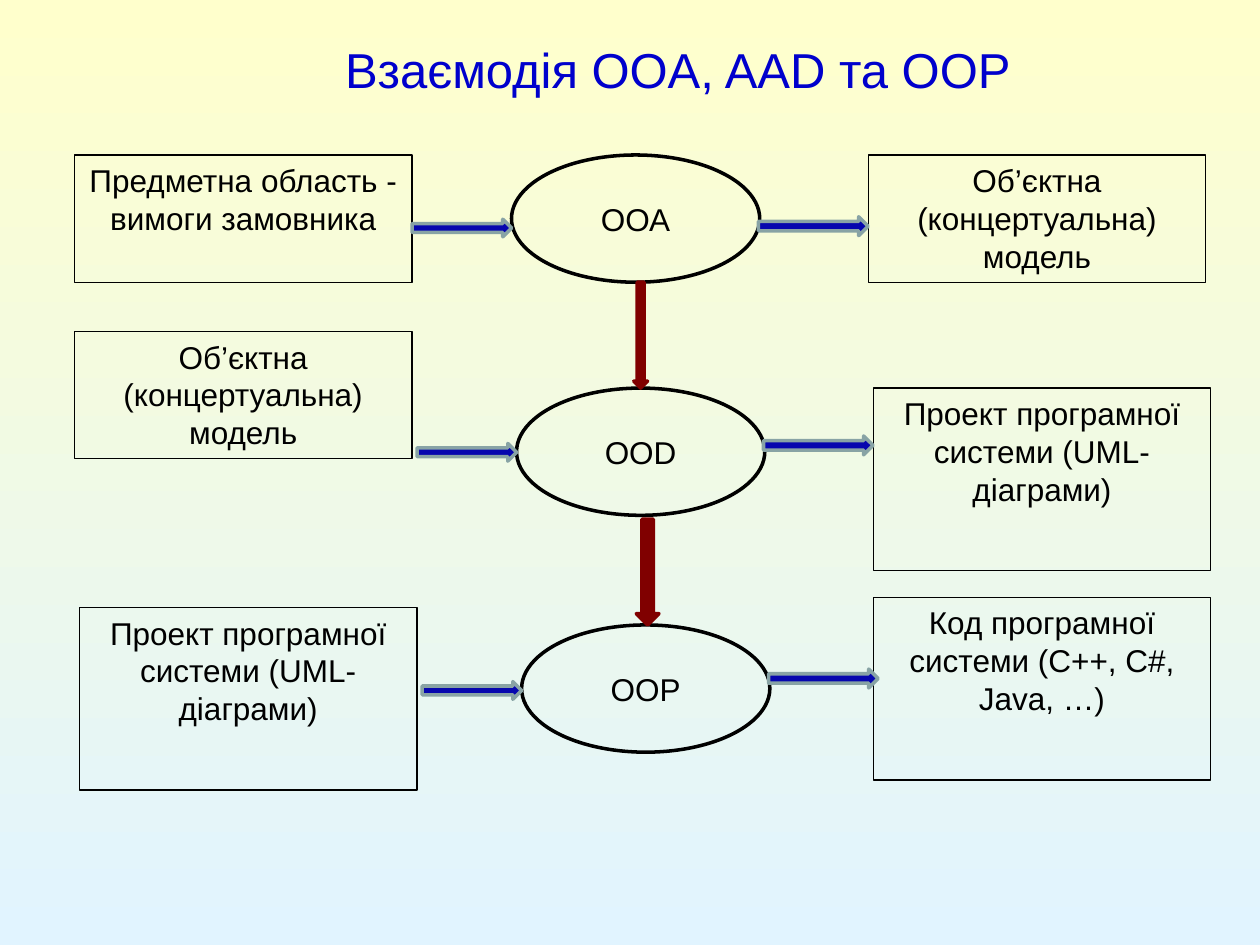
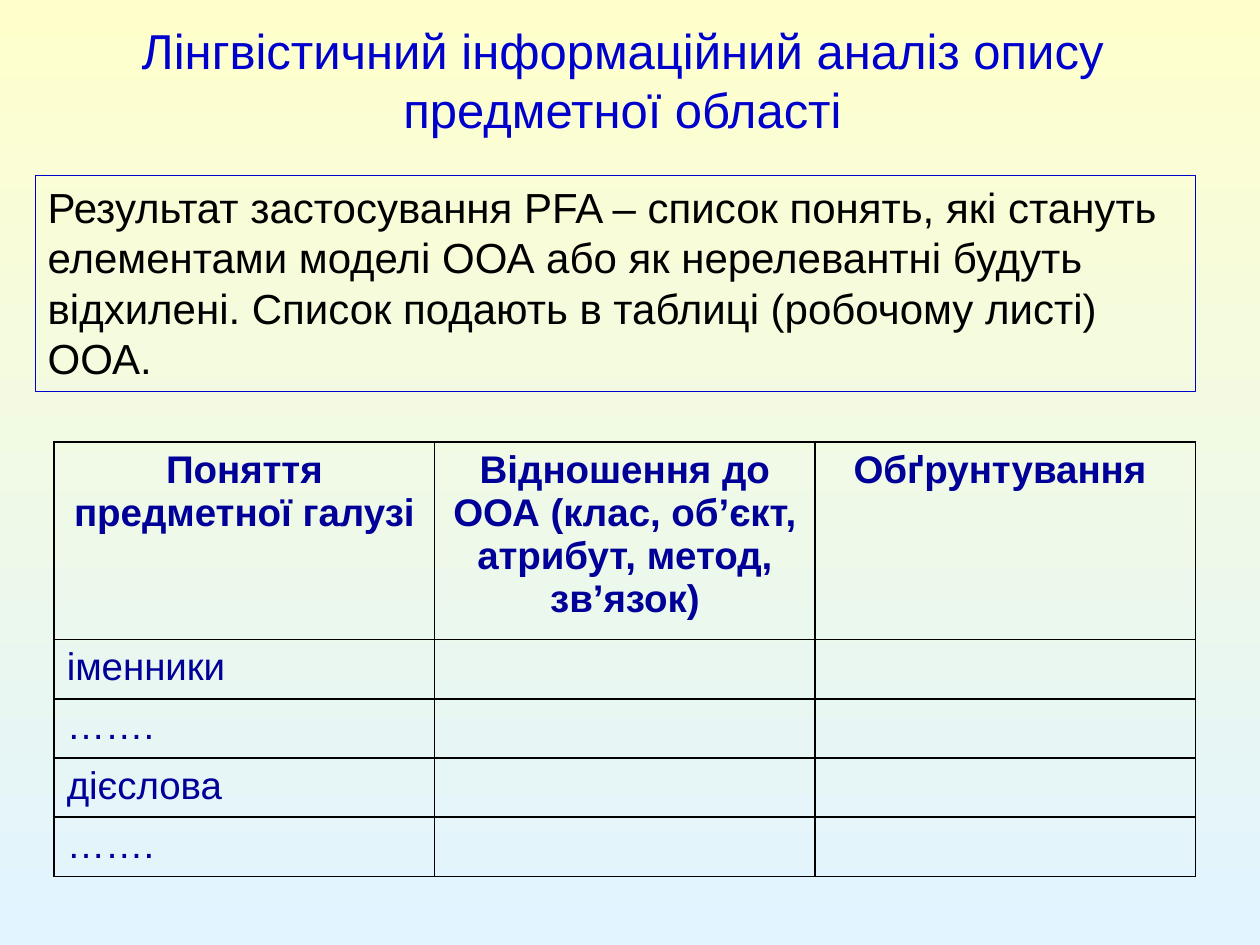
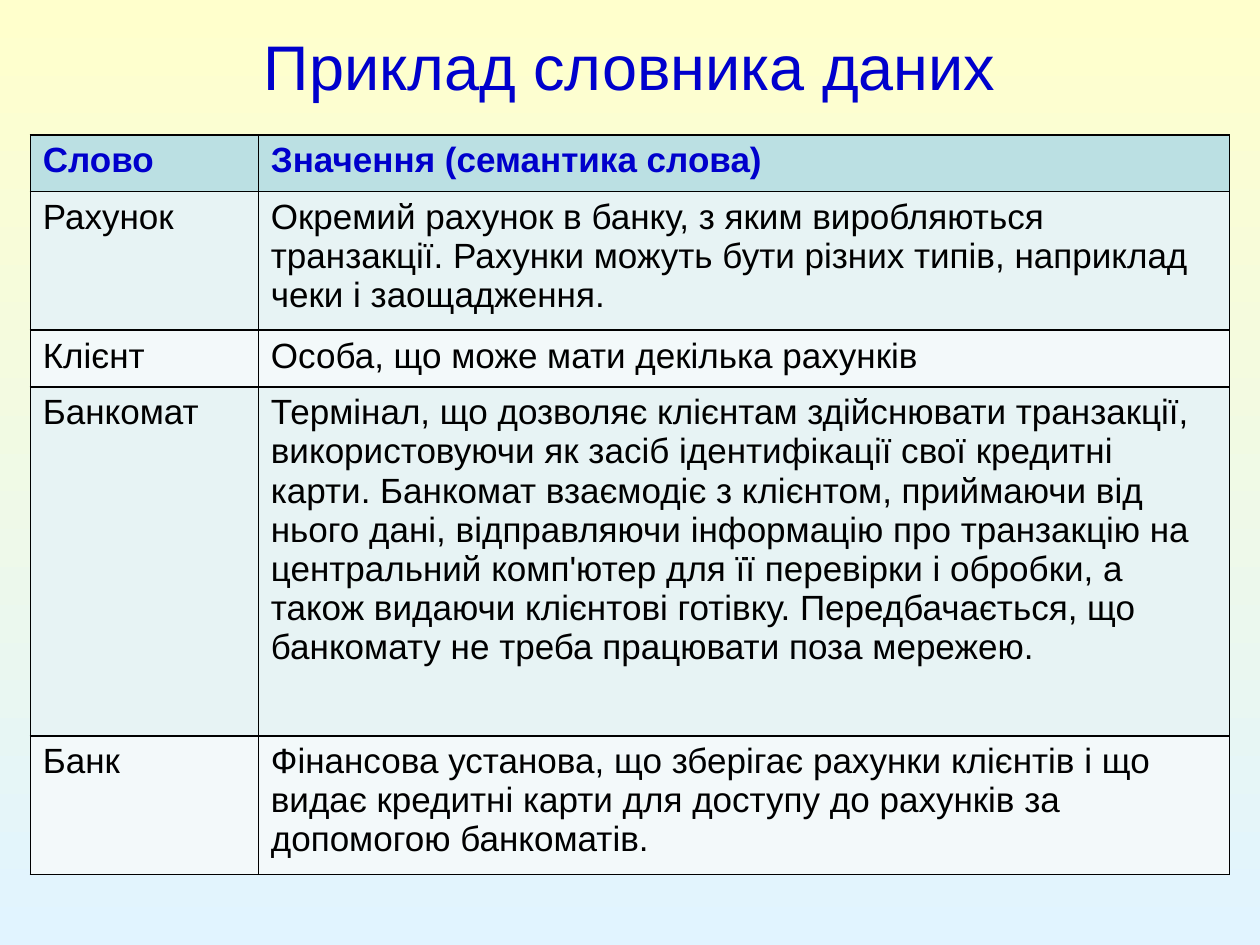
import pptx
import pptx.dml.color
import pptx.enum.shapes
import pptx.enum.text
import pptx.oxml
import pptx.oxml.ns
import pptx.util

Inches, Pt = pptx.util.Inches, pptx.util.Pt
SHAPE = pptx.enum.shapes.MSO_SHAPE
ALIGN = pptx.enum.text.PP_ALIGN
ANCHOR = pptx.enum.text.MSO_ANCHOR

# Shared look
FONT = "Arial"
BLUE, NAVY, BLACK = "0000CC", "000099", "000000"
ARROW_BLUE, ARROW_EDGE, MAROON = "0606AE", "88A3A5", "800000"
SKY_TOP, SKY_BOTTOM = "FFFFCC", "E1F4FF"
HEAD_FILL, BANDS = "BBE0E3", ("E7F3F4", "F3F9FA")

# Slide 1: each stage has an input box, an ellipse and an output box
STAGES = [
    {"name": "ООА", "top": 1.23,
     "input": ("Предметна область - вимоги замовника", 0.59, 1.23, 1.01),
     "output": ("Об’єктна (концертуальна) модель", 6.89, 1.23, 1.01),
     "arrow_tops": (1.74, 1.72)},
    {"name": "OOD", "top": 3.08,
     "input": ("Об’єктна (концертуальна) модель", 0.59, 2.63, 1.01),
     "output": ("Проект програмної системи (UML- діаграми)", 6.93, 3.08, 1.45),
     "arrow_tops": (3.52, 3.46)},
    {"name": "OOР", "top": 4.96,
     "input": ("Проект програмної системи (UML- діаграми)", 0.63, 4.82, 1.45),
     "output": ("Код програмної системи (С++, C#, Java, …)", 6.93, 4.74, 1.45),
     "arrow_tops": (5.31 + 0.1, 5.31)},
]
STAGE_SHIFT = 0.04
DOWN_ARROWS = [(5.03, 2.24, 0.11, 0.84), (5.05, 4.12, 0.18, 0.84)]

# Slide 2
PFA_RESULT = ("Результат застосування PFA – список понять, які стануть елементами "
              "моделі ООА або як нерелевантні будуть відхилені. Список подають "
              "в таблиці (робочому листі) ООА.")
WORKSHEET = [
    ("Поняття предметної галузі",
     "Відношення до ООА (клас, об’єкт, атрибут, метод, зв’язок)",
     "Обґрунтування "),
    ("іменники", "", ""),
    ("…….", "", ""),
    ("дієслова", "", ""),
    ("…….", "", ""),
]

# Slide 3
DICTIONARY = [
    ("Слово", "Значення (семантика слова)"),
    ("Рахунок", "Окремий рахунок в банку, з яким виробляються транзакції. Рахунки "
                "можуть бути різних типів, наприклад чеки і заощадження."),
    ("Клієнт", "Особа, що може мати декілька рахунків"),
    ("Банкомат", "Термінал, що дозволяє клієнтам здійснювати транзакції, використовуючи "
                 "як засіб ідентифікації свої кредитні карти. Банкомат взаємодіє з "
                 "клієнтом, приймаючи від нього дані, відправляючи інформацію про "
                 "транзакцію на центральний комп'ютер для її перевірки і обробки, а "
                 "також видаючи клієнтові готівку. Передбачається, що банкомату не "
                 "треба працювати поза мережею."),
    ("Банк", "Фінансова установа, що зберігає рахунки клієнтів і що видає кредитні "
             "карти для доступу до рахунків за допомогою банкоматів."),
]


def rgb(color):
    return pptx.dml.color.RGBColor.from_string(color)


def write(tf, text, size, color=BLACK, align=ALIGN.LEFT, bold=False):
    p = tf.paragraphs[0]
    p.alignment = align
    r = p.add_run()
    r.text = text
    r.font.name, r.font.size, r.font.bold = FONT, Pt(size), bold
    r.font.color.rgb = rgb(color)
    return p


def add_slide(prs):
    s = prs.slides.add_slide(prs.slide_layouts[6])
    fill = s.background.fill
    fill.gradient()
    fill.gradient_angle = 270
    for stop, color, position in zip(fill.gradient_stops, (SKY_TOP, SKY_BOTTOM), (0, 1)):
        stop.color.rgb = rgb(color)
        stop.position = position
    return s


def add_title(s, text, box, size=28, anchor=ANCHOR.MIDDLE):
    tf = s.shapes.add_textbox(*map(Inches, box)).text_frame
    tf.word_wrap = True
    tf.vertical_anchor = anchor
    return write(tf, text, size, BLUE, ALIGN.CENTER)


def add_shape(s, kind, box, line, width, fill=None):
    sp = s.shapes.add_shape(kind, *map(Inches, box))
    sp.shadow.inherit = False
    sp.line.color.rgb = rgb(line)
    sp.line.width = Pt(width)
    if fill:
        sp.fill.solid()
        sp.fill.fore_color.rgb = rgb(fill)
    else:
        sp.fill.background()
    return sp


def add_label(s, kind, box, text, line=BLACK, width=0.75, size=18,
              align=ALIGN.CENTER, anchor=ANCHOR.TOP):
    tf = add_shape(s, kind, box, line, width).text_frame
    tf.word_wrap = True
    tf.vertical_anchor = anchor
    write(tf, text, size, align=align)


def add_borders(cell):
    tc_pr = cell._tc.get_or_add_tcPr()
    for side in ("lnL", "lnR", "lnT", "lnB"):
        tc_pr.append(pptx.oxml.parse_xml(
            f'<a:{side} {pptx.oxml.ns.nsdecls("a")} w="12700"><a:solidFill>'
            f'<a:srgbClr val="{BLACK}"/></a:solidFill></a:{side}>'))


def add_table(s, rows, left, top, widths, heights, size, head_color, body_color,
              head_align=ALIGN.LEFT, banded=False):
    box = (left, top, sum(widths), sum(heights))
    table = s.shapes.add_table(len(rows), len(widths), *map(Inches, box)).table
    table.first_row = table.horz_banding = False
    for column, width in zip(table.columns, widths):
        column.width = Inches(width)
    for i, texts in enumerate(rows):
        table.rows[i].height = Inches(heights[i])
        head = i == 0
        for j, text in enumerate(texts):
            cell = table.cell(i, j)
            add_borders(cell)
            if banded:
                cell.fill.solid()
                cell.fill.fore_color.rgb = rgb(HEAD_FILL if head else BANDS[(i - 1) % 2])
            else:
                cell.fill.background()
            if text:
                write(cell.text_frame, text, size, head_color if head else body_color,
                      head_align if head else ALIGN.LEFT, head)


def interaction_slide(prs):
    s = add_slide(prs)
    add_title(s, "Взаємодія OOA, AAD та OOP", (0.76, 0.12, 9.24, 0.71)).line_spacing = 1.3
    for i, stage in enumerate(STAGES):
        shift = i * STAGE_SHIFT
        for text, left, top, height in (stage["input"], stage["output"]):
            add_label(s, SHAPE.RECTANGLE, (left, top, 2.68, height), text)
        add_label(s, SHAPE.OVAL, (4.06 + shift, stage["top"], 1.97, 1.01), stage["name"],
                  width=2, anchor=ANCHOR.MIDDLE)
        in_top, out_top = stage["arrow_tops"]
        for box in ((3.27 + shift, in_top, 0.79, 0.14), (6.02 + shift, out_top, 0.87, 0.15)):
            add_shape(s, SHAPE.RIGHT_ARROW, box, ARROW_EDGE, 2, ARROW_BLUE)
    for box in DOWN_ARROWS:
        add_shape(s, SHAPE.DOWN_ARROW, box, MAROON, 2, MAROON)


def worksheet_slide(prs):
    s = add_slide(prs)
    add_title(s, "Лінгвістичний інформаційний аналіз опису предметної області",
              (0, 0.13, 9.88, 1))
    add_label(s, SHAPE.RECTANGLE, (0.28, 1.39, 9.21, 1.72), PFA_RESULT,
              line=BLUE, size=24, align=ALIGN.LEFT)
    add_table(s, WORKSHEET, 0.43, 3.51, [3.02] * 3, [1.56] + [0.47] * 4, 22,
              NAVY, NAVY, head_align=ALIGN.CENTER)


def dictionary_slide(prs):
    s = add_slide(prs)
    add_title(s, "Приклад словника даних", (0, 0.17, 10, 0.71), 36, ANCHOR.TOP)
    add_table(s, DICTIONARY, 0.24, 1.07, [1.81, 7.71], [0.45, 1.1, 0.45, 2.77, 1.1], 20,
              BLUE, BLACK, banded=True)


def main():
    prs = pptx.Presentation()
    prs.slide_width, prs.slide_height = Inches(10), Inches(7.5)
    interaction_slide(prs)
    worksheet_slide(prs)
    dictionary_slide(prs)
    prs.save("out.pptx")


if __name__ == "__main__":
    main()
